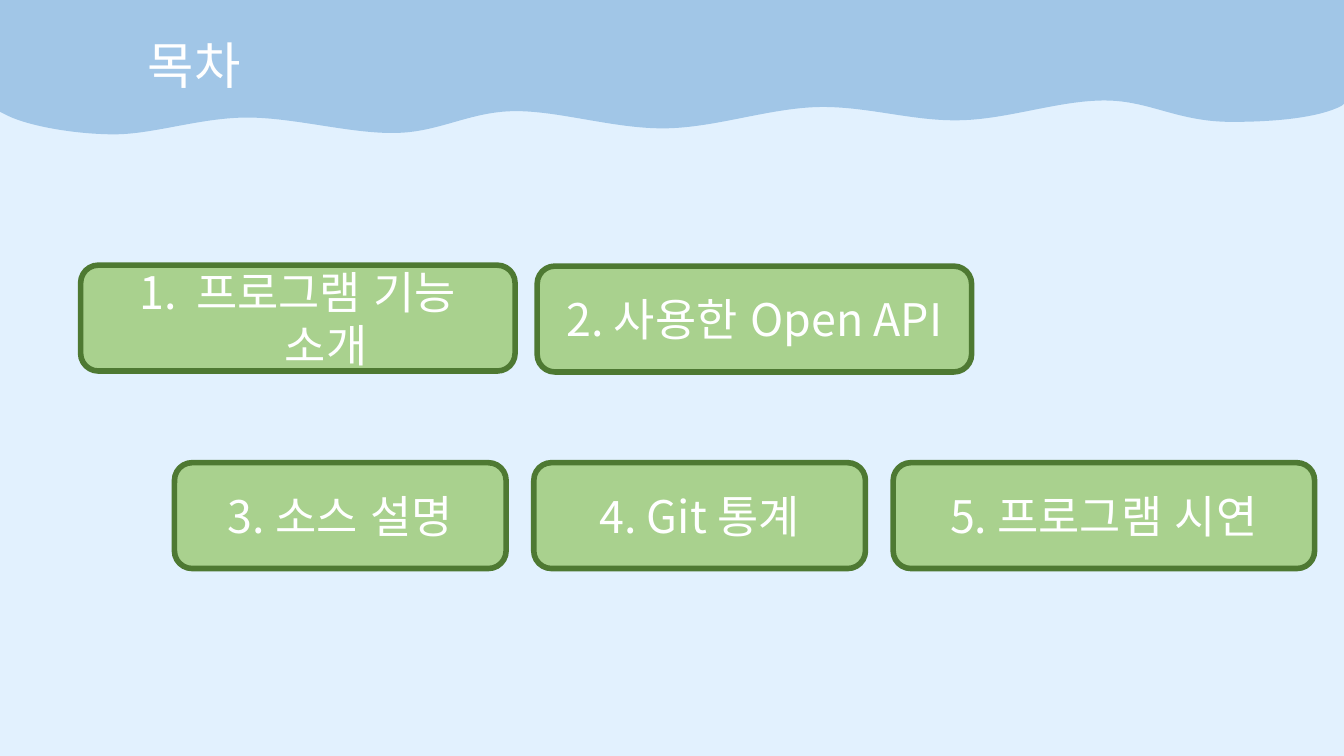
from lxml import etree
from pptx import Presentation
from pptx.dml.color import RGBColor
from pptx.enum.lang import MSO_LANGUAGE_ID
from pptx.enum.shapes import MSO_SHAPE
from pptx.enum.text import MSO_ANCHOR, MSO_AUTO_SIZE, PP_ALIGN
from pptx.oxml.ns import qn
from pptx.util import Pt

ROUNDED = MSO_SHAPE.ROUNDED_RECTANGLE
MIDDLE = MSO_ANCHOR.MIDDLE
GROW = MSO_AUTO_SIZE.SHAPE_TO_FIT_TEXT
LEFT, CENTER = PP_ALIGN.LEFT, PP_ALIGN.CENTER
KOREAN = MSO_LANGUAGE_ID.KOREAN

FONT = "Noto Sans CJK KR"
PALE_BLUE = RGBColor(0xE2, 0xF1, 0xFE)
WAVE_BLUE = RGBColor(0xA1, 0xC6, 0xE7)
LIGHT_GREEN = RGBColor(0xA9, 0xD1, 0x8E)
DARK_GREEN = RGBColor(0x4E, 0x79, 0x32)
WHITE = RGBColor(0xFF, 0xFF, 0xFF)

SLIDE_WIDTH, SLIDE_HEIGHT = 960, 540
BOX_HEIGHT = 75.6
NUMBER_INDENT = 40.5

# Lower edge of the header, right to left: two controls and an end per curve.
WAVE_START = (879.8, 87.1)
WAVE_CURVES = [
    ((841, 87.1), (821.5, 72), (789.8, 71.8)),
    ((757.4, 71.5), (720.7, 85), (686.9, 85.9)),
    ((652.3, 87), (619.2, 75.6), (583.9, 76.5)),
    ((547.9, 77.6), (510.5, 91.4), (474.5, 91.7)),
    ((438.5, 92), (399.6, 79.2), (367.9, 79.4)),
    ((335.5, 79.6), (313.9, 94.6), (282.2, 95)),
    ((249.8, 95.6), (208.8, 83.6), (175, 84)),
    ((141.8, 84.4), (108.7, 96.2), (80.6, 96)),
    ((52.6, 95.8), (20.9, 90), (5.8, 82.8)),
]
HEADER_EDGES = [(0, 79.9), (0, 0), (SLIDE_WIDTH, 0), (SLIDE_WIDTH, 74.2), (958.3, 75.6)]
CLOSING_CURVE = ((943.2, 83.5), (914.4, 87.1), WAVE_START)

# Left, top, gap, step down per box, then (text, width, numbered) for each box.
ROWS = [
    (57.6, 189.4, 15.8, 0.7, [("프로그램 기능 소개", 310.3, True),
                              ("2. 사용한 Open API", 310.3, False)]),
    (124.6, 330.5, 19.8, 0, [("3. 소스 설명", 236.9, False),
                             ("4. Git 통계", 236.9, False),
                             ("5. 프로그램 시연", 301, False)]),
]


def write_text(shape, text, size=32, color=WHITE, align=CENTER, numbered=False):
    shape.text_frame.word_wrap = True
    paragraph = shape.text_frame.paragraphs[0]
    paragraph.alignment = align
    if numbered:
        properties = paragraph._p.get_or_add_pPr()
        properties.set("marL", str(Pt(NUMBER_INDENT)))
        properties.set("indent", str(-Pt(NUMBER_INDENT)))
        etree.SubElement(properties, qn("a:buFont"), typeface="+mj-lt")
        etree.SubElement(properties, qn("a:buAutoNum"), type="arabicPeriod")
    run = paragraph.add_run()
    run.text = text
    run.font.size = Pt(size)
    run.font.color.rgb = color
    run.font.language_id = KOREAN
    run.font.name = FONT
    etree.SubElement(run._r.get_or_add_rPr(), qn("a:ea"), typeface=FONT)


def bend_lines(shape, first, count):
    """Turn each three of the path's lines, from the given one on, into a curve."""
    lines = list(shape._element.iter(qn("a:lnTo")))
    for index in range(first, first + 3 * count, 3):
        curve = etree.Element(qn("a:cubicBezTo"))
        lines[index].addprevious(curve)
        for line in lines[index:index + 3]:
            curve.append(line[0])
            line.getparent().remove(line)


def add_header(slide, left, top):
    outline = [WAVE_START]
    for curve in WAVE_CURVES:
        outline += curve
    outline += HEADER_EDGES
    outline += CLOSING_CURVE
    corners = [(Pt(left + x), Pt(top + y)) for x, y in outline]
    builder = slide.shapes.build_freeform(*corners[0])
    builder.add_line_segments(corners[1:], close=True)
    wave = builder.convert_to_shape()
    bend_lines(wave, 0, len(WAVE_CURVES))
    bend_lines(wave, len(HEADER_EDGES), 1)
    wave.shadow.inherit = False
    wave.fill.solid()
    wave.fill.fore_color.rgb = WAVE_BLUE
    wave.line.fill.background()

    title = slide.shapes.add_textbox(Pt(left + 98.6), Pt(top + 20.9), Pt(639.4), Pt(51))
    write_text(title, "목차", size=36, align=LEFT)
    title.text_frame.auto_size = GROW


def add_box_row(slide, left, top, gap, step, boxes):
    for text, width, numbered in boxes:
        box = slide.shapes.add_shape(ROUNDED, Pt(left), Pt(top), Pt(width), Pt(BOX_HEIGHT))
        box.shadow.inherit = False
        box.fill.solid()
        box.fill.fore_color.rgb = LIGHT_GREEN
        box.line.color.rgb = DARK_GREEN
        box.line.width = Pt(4)
        box.text_frame.vertical_anchor = MIDDLE
        write_text(box, text, numbered=numbered)
        left += width + gap
        top += step


def main():
    presentation = Presentation()
    presentation.slide_width = Pt(SLIDE_WIDTH)
    presentation.slide_height = Pt(SLIDE_HEIGHT)
    slide = presentation.slides.add_slide(presentation.slide_layouts[6])
    slide.background.fill.solid()
    slide.background.fill.fore_color.rgb = PALE_BLUE
    add_header(slide, 0, 0)
    for row in ROWS:
        add_box_row(slide, *row)
    presentation.save("out.pptx")


if __name__ == "__main__":
    main()
